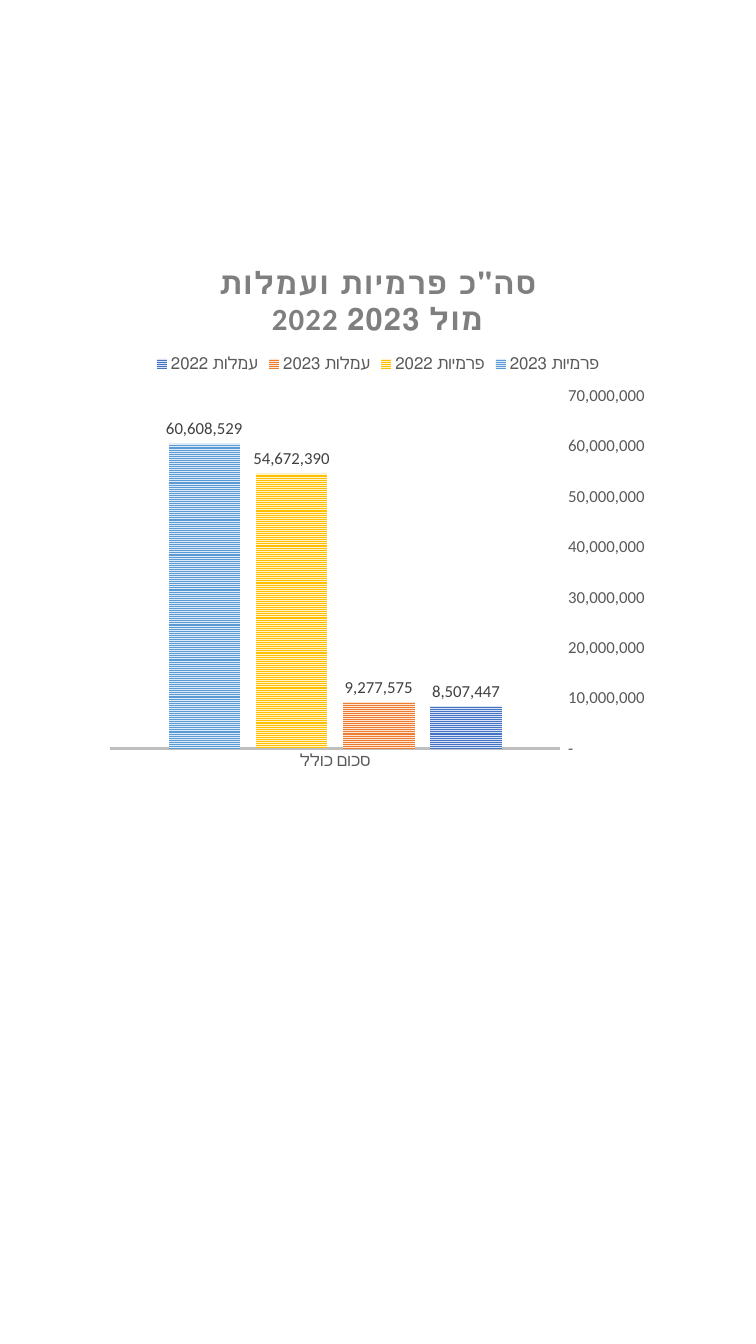
"""Build a slide with a column chart comparing premiums and commissions by year."""
from dataclasses import dataclass

from lxml import etree
from pptx import Presentation
from pptx.chart.data import CategoryChartData
from pptx.dml.color import RGBColor
from pptx.enum.chart import XL_CHART_TYPE, XL_LABEL_POSITION, XL_LEGEND_POSITION, XL_TICK_MARK
from pptx.enum.dml import MSO_PATTERN
from pptx.oxml.ns import qn
from pptx.util import Inches, Pt

COLUMNS = XL_CHART_TYPE.COLUMN_CLUSTERED
OUTSIDE_END = XL_LABEL_POSITION.OUTSIDE_END
LEGEND_TOP = XL_LEGEND_POSITION.TOP
NO_TICK = XL_TICK_MARK.NONE
STRIPES = MSO_PATTERN.NARROW_HORIZONTAL

AMOUNT_FORMAT = r'_ * #,##0_ ;_ * \-#,##0_ ;_ * "-"??_ ;_ '
CATEGORY = "סכום כולל"
TITLE_LINES = ('סה"כ פרמיות ועמלות', "2022 מול 2023")
TOTALS = (
    ("עמלות 2022", 8507447, "4472C4", "DAE3F3"),
    ("עמלות 2023", 9277575, "ED7D31", "FBE5D6"),
    ("פרמיות 2022", 54672390, "FFC000", "FFF2CC"),
    ("פרמיות 2023", 60608529, "5B9BD5", "DEEBF7"),
)


@dataclass(frozen=True)
class Theme:
    font: str = "Calibri"
    title_color: str = "7F7F7F"
    axis_color: str = "595959"
    label_color: str = "404040"
    line_color: str = "BFBFBF"
    title_size: float = 22
    body_size: float = 12


def style_font(font, name, size, color, bold=False):
    font.name = name
    font.size = Pt(size)
    font.bold = bold
    font.color.rgb = RGBColor.from_string(color)


def write_line(paragraph, text, *, spacing=0, **style):
    run = paragraph.add_run()
    run.text = text
    style_font(run.font, **style)
    run.font._element.set("spc", str(int(spacing * 100)))


class SlideBuilder:
    def __init__(self, slide, theme):
        self.slide = slide
        self.theme = theme

    def body_font(self, font, color):
        style_font(font, self.theme.font, self.theme.body_size, color)

    def add_columns(self, left, top, width, height):
        totals = CategoryChartData(number_format=AMOUNT_FORMAT)
        totals.categories = [CATEGORY]
        for name, amount, _, _ in TOTALS:
            totals.add_series(name, [amount])
        chart = self.slide.shapes.add_chart(
            COLUMNS, Inches(left), Inches(top), Inches(width), Inches(height), totals
        ).chart
        self.body_font(chart.font, self.theme.axis_color)
        plot = chart.plots[0]
        plot.gap_width = 164
        plot.overlap = -22
        plot.vary_by_categories = False
        for series, (_, _, stripe, ground) in zip(plot.series, TOTALS):
            self.style_series(series, stripe, ground)
        return chart

    def style_series(self, series, stripe, ground):
        fill = series.format.fill
        fill.patterned()
        fill.pattern = STRIPES
        fill.fore_color.rgb = RGBColor.from_string(stripe)
        fill.back_color.rgb = RGBColor.from_string(ground)
        series.invert_if_negative = False
        labels = series.data_labels
        labels.show_value = True
        labels.position = OUTSIDE_END
        labels.number_format = AMOUNT_FORMAT
        labels.number_format_is_linked = False
        self.body_font(labels.font, self.theme.label_color)

    def style_axes(self, chart):
        categories, amounts = chart.category_axis, chart.value_axis
        for axis in (categories, amounts):
            axis.major_tick_mark = NO_TICK
            axis.minor_tick_mark = NO_TICK
            axis.has_major_gridlines = False
            self.body_font(axis.tick_labels.font, self.theme.axis_color)
        categories.reverse_order = True
        baseline = categories.format.line
        baseline.width = Pt(1.5)
        baseline.color.rgb = RGBColor.from_string(self.theme.line_color)
        amounts.format.line.fill.background()
        amounts.minimum_scale = 0
        amounts.maximum_scale = 70_000_000
        amounts.major_unit = 10_000_000
        amounts.tick_labels.number_format = AMOUNT_FORMAT
        amounts.tick_labels.number_format_is_linked = False

    def add_legend(self, chart):
        chart.has_legend = True
        chart.legend.position = LEGEND_TOP
        chart.legend.include_in_layout = False
        self.body_font(chart.legend.font, self.theme.axis_color)

    def add_title(self, chart, lines):
        frame = chart.chart_title.text_frame
        for index, text in enumerate(lines):
            paragraph = frame.add_paragraph() if index else frame.paragraphs[0]
            write_line(paragraph, text, spacing=1, name=self.theme.font,
                       size=self.theme.title_size, color=self.theme.title_color, bold=True)

    def place_plot(self, chart, x, y, w, h):
        area = chart._chartSpace.chart.plotArea
        for previous in area.findall(qn("c:layout")):
            area.remove(previous)
        layout = etree.Element(qn("c:layout"))
        manual = etree.SubElement(layout, qn("c:manualLayout"))
        settings = (("layoutTarget", "inner"), ("xMode", "edge"), ("yMode", "edge"),
                    ("x", x), ("y", y), ("w", w), ("h", h))
        for tag, value in settings:
            etree.SubElement(manual, qn(f"c:{tag}")).set("val", str(value))
        area.insert(0, layout)


def main():
    deck = Presentation()
    deck.slide_width, deck.slide_height = Inches(7.5), Inches(13.33)
    builder = SlideBuilder(deck.slides.add_slide(deck.slide_layouts[6]), Theme())
    chart = builder.add_columns(0.84, 2.45, 5.82, 6.58)
    builder.add_title(chart, TITLE_LINES)
    builder.add_legend(chart)
    builder.style_axes(chart)
    builder.place_plot(chart, 0.043, 0.224, 0.768, 0.532)
    deck.save("out.pptx")


if __name__ == "__main__":
    main()
